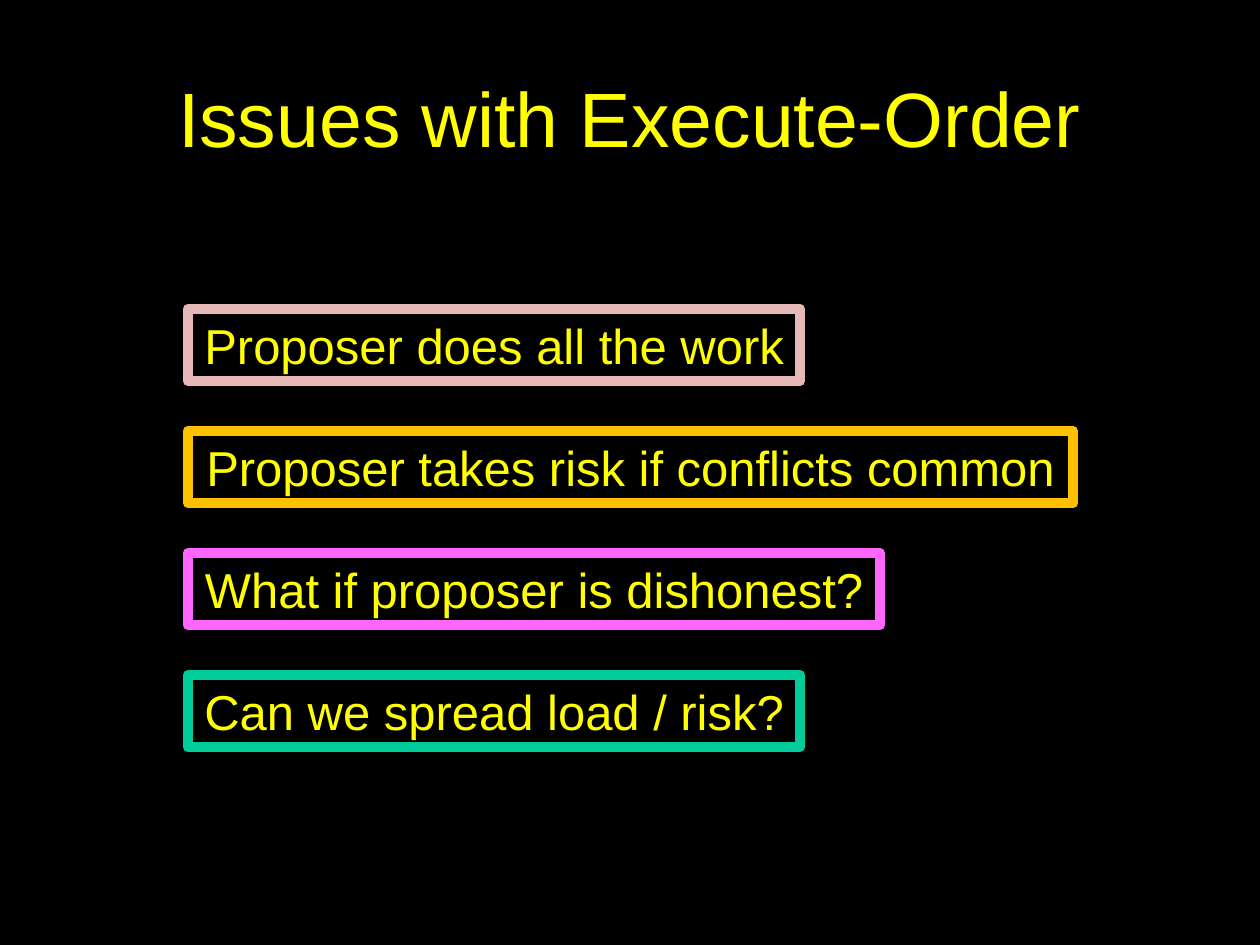
import pptx
import pptx.util
import pptx.dml.color
import pptx.enum.shapes
import pptx.enum.text

RGBColor = pptx.dml.color.RGBColor
BLACK = RGBColor(0x00, 0x00, 0x00)
YELLOW = RGBColor(0xFF, 0xFF, 0x00)
ROSE = RGBColor(0xE6, 0xB9, 0xB8)
AMBER = RGBColor(0xFF, 0xC0, 0x00)
PINK = RGBColor(0xFF, 0x66, 0xFF)
GREEN = RGBColor(0x00, 0xCC, 0x99)

TITLE = "Issues with Execute-Order"
ISSUES = [
    ("Proposer does all the work", 612, ROSE),
    ("Proposer takes risk if conflicts common", 885, AMBER),
    ("What if proposer is dishonest?", 692, PINK),
    ("Can we spread load / risk?", 612, GREEN),
]
FONT = "Arial"
PX_PER_INCH = 126
SLIDE_WIDTH, SLIDE_HEIGHT = 1260, 945
TITLE_BOX = (63, 38, 1134, 158)
ISSUE_LEFT, ISSUE_TOP, ISSUE_HEIGHT, ISSUE_PITCH = 188, 309, 72, 122


def px(length):
    return pptx.util.Inches(length / PX_PER_INCH)


def write_text(shape, text, size, wrap):
    frame = shape.text_frame
    frame.word_wrap = wrap
    frame.vertical_anchor = pptx.enum.text.MSO_ANCHOR.MIDDLE
    paragraph = frame.paragraphs[0]
    paragraph.alignment = pptx.enum.text.PP_ALIGN.CENTER
    run = paragraph.add_run()
    run.text = text
    run.font.name = FONT
    run.font.size = pptx.util.Pt(size)
    run.font.color.rgb = YELLOW


def add_issue(slide, row, text, width, color):
    shape = slide.shapes.add_shape(
        pptx.enum.shapes.MSO_SHAPE.RECTANGLE,
        px(ISSUE_LEFT), px(ISSUE_TOP + row * ISSUE_PITCH), px(width), px(ISSUE_HEIGHT),
    )
    shape.shadow.inherit = False
    shape.fill.solid()
    shape.fill.fore_color.rgb = BLACK
    shape.line.color.rgb = color
    shape.line.width = pptx.util.Pt(6)
    write_text(shape, text, 28, False)
    shape.text_frame.auto_size = pptx.enum.text.MSO_AUTO_SIZE.SHAPE_TO_FIT_TEXT


def main():
    presentation = pptx.Presentation()
    presentation.slide_width = px(SLIDE_WIDTH)
    presentation.slide_height = px(SLIDE_HEIGHT)
    slide = presentation.slides.add_slide(presentation.slide_layouts[6])
    slide.background.fill.solid()
    slide.background.fill.fore_color.rgb = BLACK
    title = slide.shapes.add_textbox(*map(px, TITLE_BOX))
    write_text(title, TITLE, 44, True)
    for row, (text, width, color) in enumerate(ISSUES):
        add_issue(slide, row, text, width, color)
    presentation.save("out.pptx")


if __name__ == "__main__":
    main()
